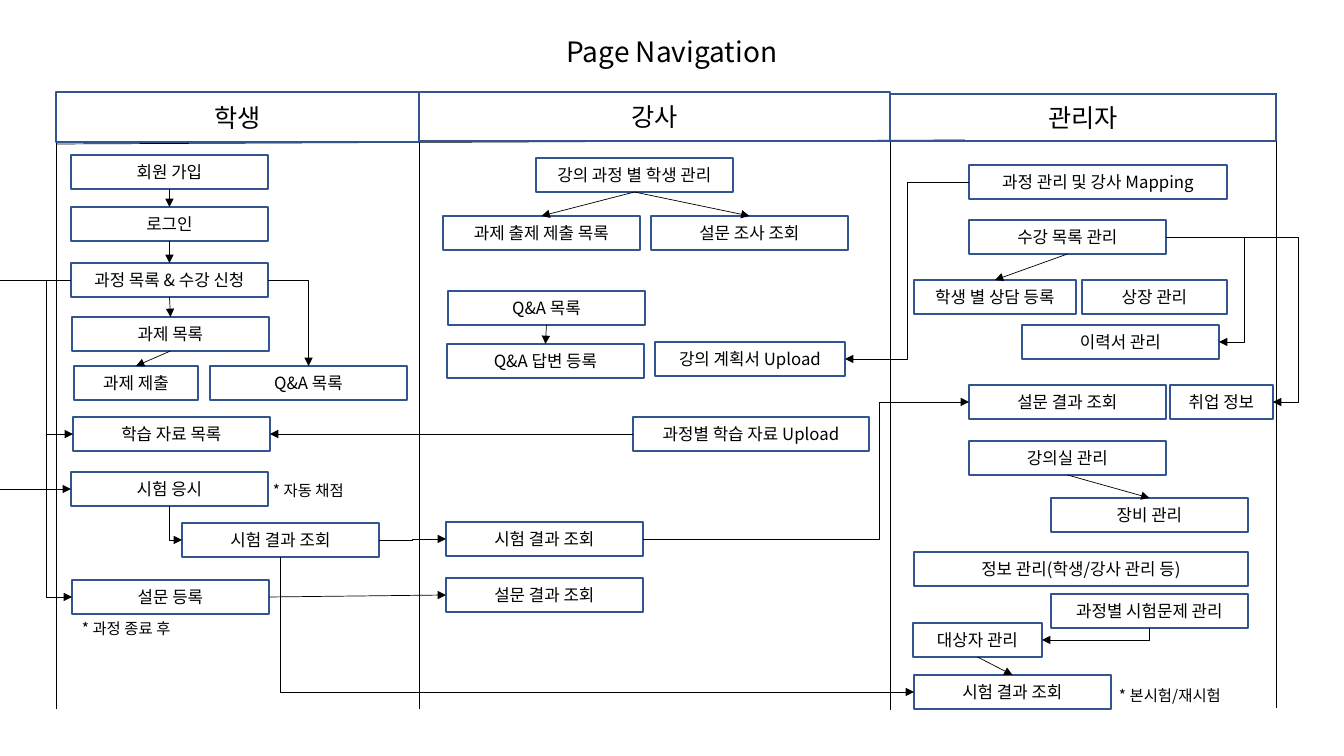
from dataclasses import dataclass
from pptx import Presentation
from pptx.dml.color import RGBColor
from pptx.enum.shapes import MSO_CONNECTOR as Conn, MSO_SHAPE as Form
from pptx.enum.text import MSO_ANCHOR as Anchor, MSO_AUTO_SIZE as Fit, PP_ALIGN as Align
from pptx.oxml.ns import qn
from pptx.util import Pt
from lxml.etree import SubElement as add_node


@dataclass(frozen=True)
class Theme:
    font: str = "Noto Sans CJK KR"
    ink: str = "000000"
    edge: str = "325491"
    title: int = 20
    head: int = 18
    body: int = 12
    note: int = 11
    border: float = 1
    rule: float = 0.5


THEME = Theme()
SCALE = 914400 / 100.8
TOP, LEFT, BOTTOM, RIGHT = range(4)
WIDE, HIGH = 197, 34

# Lane headers: text, left, top, width, height
HEADS = [("학생", 56, 92, 363, 50), ("강사", 419, 92, 471, 49), ("관리자", 890, 94, 386, 47)]

# Pages: key -> text, left, top and, if not standard, width
PAGES = {
    # Student
    "join": ("회원 가입", 71, 155),
    "login": ("로그인", 71, 207),
    "course": ("과정 목록 & 수강 신청", 71, 263),
    "tasks": ("과제 목록", 72, 317),
    "submit": ("과제 제출", 74, 366, 124),
    "ask": ("Q&A 목록", 210, 366),
    "study": ("학습 자료 목록", 73, 417),
    "exam": ("시험 응시", 71, 472),
    "score": ("시험 결과 조회", 182, 523),
    "survey": ("설문 등록", 72, 580),
    # Teacher
    "pupils": ("강의 과정 별 학생 관리", 536, 158),
    "works": ("과제 출제 제출 목록", 443, 216),
    "polls": ("설문 조사 조회", 651, 216),
    "asked": ("Q&A 목록", 448, 291),
    "answer": ("Q&A 답변 등록", 447, 344),
    "plan": ("강의 계획서 Upload", 655, 342, 190),
    "upload": ("과정별 학습 자료 Upload", 633, 417, 236),
    "marks": ("시험 결과 조회", 446, 522),
    "views": ("설문 결과 조회", 446, 578),
    # Manager
    "mapping": ("과정 관리 및 강사 Mapping", 969, 165, 258),
    "enrol": ("수강 목록 관리", 969, 220),
    "counsel": ("학생 별 상담 등록", 914, 280, 162),
    "award": ("상장 관리", 1082, 280, 145),
    "resume": ("이력서 관리", 1022, 325),
    "result": ("설문 결과 조회", 969, 385),
    "jobs": ("취업 정보", 1170, 385, 103),
    "rooms": ("강의실 관리", 969, 441),
    "gear": ("장비 관리", 1051, 498),
    "info": ("정보 관리(학생/강사 관리 등)", 914, 552, 334),
    "quiz": ("과정별 시험문제 관리", 1051, 594),
    "target": ("대상자 관리", 913, 623, 129),
    "final": ("시험 결과 조회", 914, 675),
}

NOTES = [("* 자동 채점", 263, 476, 113), ("* 과정 종료 후", 72, 614, 212),
         ("* 본시험/재시험", 1109, 681, 144)]

# Straight arrows: from, side, to, side
ARROWS = [(a, BOTTOM, b, TOP) for a, b in (
    ("join", "login"), ("login", "course"), ("course", "tasks"), ("tasks", "submit"),
    ("pupils", "works"), ("pupils", "polls"), ("asked", "answer"),
    ("enrol", "counsel"), ("rooms", "gear"), ("target", "final"))]
ARROWS += [("upload", LEFT, "study", RIGHT), ("survey", RIGHT, "views", LEFT)]

# Three-part arrows: from, side, to, side, x of the middle part
BENDS = [
    ("course", LEFT, "study", LEFT, 46), ("course", LEFT, "survey", LEFT, 46),
    ("score", RIGHT, "marks", LEFT, 412), ("marks", RIGHT, "result", LEFT, 879),
    ("mapping", LEFT, "plan", RIGHT, 907), ("enrol", RIGHT, "resume", RIGHT, 1244),
    ("enrol", RIGHT, "jobs", RIGHT, 1298)]

# One-corner arrows, each listed from its level end; the last item is the arrowhead
CORNERS = [
    ("course", RIGHT, "ask", TOP, "tailEnd"), ("exam", LEFT, "score", BOTTOM, "headEnd"),
    ("final", LEFT, "score", BOTTOM, "headEnd"), ("target", RIGHT, "quiz", BOTTOM, "headEnd")]
CORNERS[1] = ("score", LEFT, "exam", BOTTOM, "headEnd")


def px(*sizes):
    return [round(size * SCALE) for size in sizes]


def color(code):
    return RGBColor.from_string(code)


def write(shape, text, size, align=Align.CENTER, anchor=Anchor.MIDDLE):
    frame = shape.text_frame
    frame.text = text
    frame.word_wrap = True
    frame.auto_size = Fit.NONE
    frame.vertical_anchor = anchor
    para = frame.paragraphs[0]
    para.alignment = align
    for run in para.runs:
        run.font.size = Pt(size)
        run.font.name = THEME.font
        run.font.color.rgb = color(THEME.ink)
        add_node(run.font._element, qn("a:ea"), typeface=THEME.font)


def add_box(slide, text, left, top, width=WIDE, height=HIGH, size=THEME.body):
    box = slide.shapes.add_shape(Form.RECTANGLE, *px(left, top, width, height))
    box.shadow.inherit = False
    box.fill.background()
    box.line.color.rgb = color(THEME.edge)
    box.line.width = Pt(THEME.border)
    write(box, text, size)
    return box


def add_note(slide, text, left, top, width):
    note = slide.shapes.add_textbox(*px(left, top, width, 29))
    write(note, text, THEME.note, Align.LEFT, Anchor.TOP)


def add_line(slide, ends, kind=Conn.STRAIGHT, arrow=None):
    line = slide.shapes.add_connector(kind, *ends)
    line.line.color.rgb = color(THEME.ink)
    line.line.width = Pt(THEME.rule)
    props = line._element.spPr
    if arrow:
        add_node(props.find(qn("a:ln")), qn("a:" + arrow), type="triangle")
    add_node(props, qn("a:effectLst"))
    return line


def site(box, side):
    across = {LEFT: 0, RIGHT: box.width}.get(side, box.width // 2)
    down = {TOP: 0, BOTTOM: box.height}.get(side, box.height // 2)
    return box.left + across, box.top + down


def link(slide, start, out, end, into, kind=Conn.STRAIGHT, arrow="tailEnd"):
    line = add_line(slide, site(start, out) + site(end, into), kind, arrow)
    line.begin_connect(start, out)
    line.end_connect(end, into)
    return line


def add_bend(slide, start, out, end, into, middle):
    line = link(slide, start, out, end, into, Conn.ELBOW)
    share = (px(middle)[0] - line.begin_x) / (line.end_x - line.begin_x)
    guides = line._element.spPr.find(qn("a:prstGeom")).find(qn("a:avLst"))
    add_node(guides, qn("a:gd"), name="adj1", fmla=f"val {round(share * 100000)}")


def add_corner(slide, start, out, end, into, arrow):
    line = link(slide, start, out, end, into, Conn.ELBOW, arrow)
    line._element.spPr.find(qn("a:prstGeom")).set("prst", "bentConnector2")


def main():
    deck = Presentation()
    deck.slide_width, deck.slide_height = px(1344, 756)
    slide = deck.slides.add_slide(deck.slide_layouts[5])

    # Title
    title = slide.shapes.title
    title.left, title.top, title.width, title.height = px(0, 29, 1344, 44)
    write(title, "Page Navigation", THEME.title)

    # Lanes
    add_line(slide, px(56, 144, 965, 140))
    for left, top in ((56, 94), (419, 94), (890, 95), (1276, 93)):
        add_line(slide, px(left, top, left, top + 615))
    for head in HEADS:
        add_box(slide, *head, size=THEME.head)

    # Pages and notes
    pages = {key: add_box(slide, *page) for key, page in PAGES.items()}
    for note in NOTES:
        add_note(slide, *note)

    # Arrows between pages
    for draw, routes in ((link, ARROWS), (add_bend, BENDS), (add_corner, CORNERS)):
        for start, out, end, into, *rest in routes:
            draw(slide, pages[start], out, pages[end], into, *rest)

    # Course to exam, by way of the slide's left edge
    add_line(slide, px(71, 280, 0, 280))
    add_line(slide, px(0, 489, 71, 489), arrow="tailEnd")

    deck.save("out.pptx")


main()
